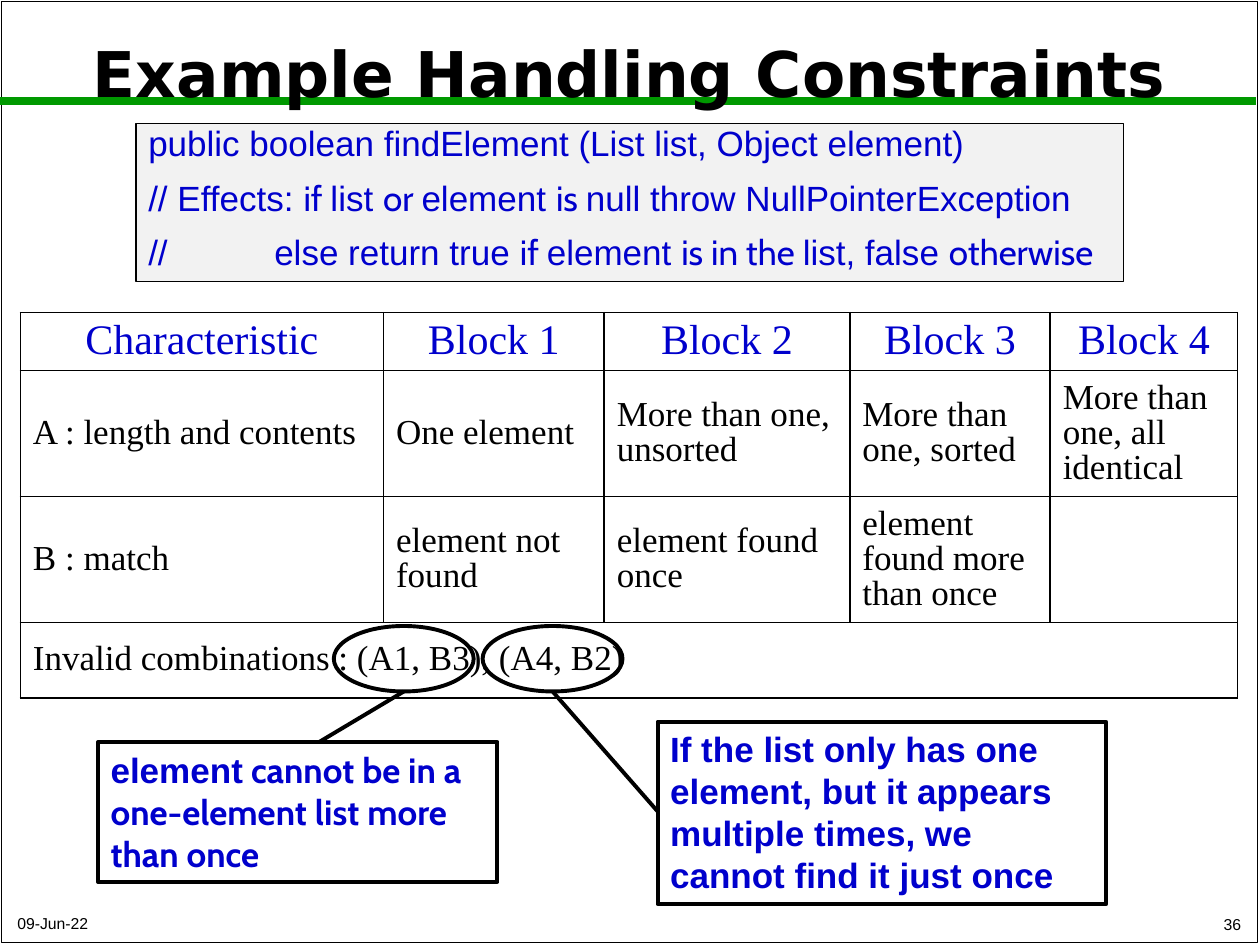
import pptx
import pptx.dml.color
import pptx.enum.shapes
import pptx.enum.text
import pptx.oxml
import pptx.oxml.ns
import pptx.util
from lxml import etree

Cm, Pt = pptx.util.Cm, pptx.util.Pt
ALIGN = pptx.enum.text.PP_ALIGN
ANCHOR = pptx.enum.text.MSO_ANCHOR
SHAPE = pptx.enum.shapes.MSO_SHAPE

BLACK, BLUE, GREEN, GREY = "000000", "0000CC", "009900", "F2F2F2"
SANS, CASUAL, SERIF, HEADING = "Arial", "Cabin", "Times New Roman", "DejaVu Sans"

# Content: a paragraph is a list of (text, font) runs
TITLE = "Example Handling Constraints"
DATE, PAGE = "09-Jun-22", "36"
SIGNATURE = [
    [("public boolean findElement (List list, Object element)", SANS)],
    [("// Effects: ", SANS), ("if ", CASUAL), ("list ", SANS), ("or ", CASUAL),
     ("element ", SANS), ("is ", CASUAL), ("null throw NullPointerException", SANS)],
    [("//\telse return true ", SANS), ("if ", CASUAL), ("element ", SANS),
     ("is in the ", CASUAL), ("list, false ", SANS), ("otherwise", CASUAL)],
]
PARTITION = [
    ["Characteristic", "Block 1", "Block 2", "Block 3", "Block 4"],
    ["A : length and contents", "One element", "More than one, unsorted",
     "More than one, sorted", "More than one, all identical"],
    ["B : match", "element not found", "element found once",
     "element found more than once", ""],
    ["Invalid combinations : (A1, B3), (A4, B2)", "", "", "", ""],
]
COLUMN_WIDTHS = [7.32, 4.45, 4.95, 4.04, 3.78]
ROW_HEIGHTS = [1.17, 2.54, 2.54, 1.52]
# Each callout: ring left edge, box, point where the leader meets the box, runs
CALLOUTS = [
    (6.73, (1.98, 14.96, 8.05, 2.82), (6.43, 14.96),
     [("element", SANS), (" cannot be in a one-element list more than once", CASUAL)]),
    (9.73, (13.26, 14.55, 9.04, 3.68), (13.26, 16.36),
     [("If the list only has one element, but it appears multiple times, "
       "we cannot find it just once", SANS)]),
]
RING_TOP, RING_WIDTH, RING_HEIGHT = 12.62, 2.82, 1.32


def rgb(color):
    return pptx.dml.color.RGBColor.from_string(color)


def write(frame, paragraphs, size=20, color=BLUE, bold=False, align=ALIGN.LEFT,
          anchor=ANCHOR.TOP, line_spacing=None, before=None, tab=None):
    frame.word_wrap = True
    frame.vertical_anchor = anchor
    for index, runs in enumerate(paragraphs):
        paragraph = frame.paragraphs[0] if index == 0 else frame.add_paragraph()
        paragraph.alignment = align
        paragraph.line_spacing = line_spacing
        paragraph.space_before = None if before is None else Pt(before)
        if tab:
            stops = etree.SubElement(paragraph._p.get_or_add_pPr(), pptx.oxml.ns.qn("a:tabLst"))
            etree.SubElement(stops, pptx.oxml.ns.qn("a:tab"), pos=str(Cm(tab)), algn="l")
        for text, face in runs:
            run = paragraph.add_run()
            run.text = text
            run.font.name, run.font.size, run.font.bold = face, Pt(size), bold
            run.font.color.rgb = rgb(color)


def add_outline(shapes, kind, box, width, fill=None):
    shape = shapes.add_shape(kind, *map(Cm, box))
    shape.shadow.inherit = False
    if fill:
        shape.fill.solid()
        shape.fill.fore_color.rgb = rgb(fill)
    else:
        shape.fill.background()
    shape.line.color.rgb = rgb(BLACK)
    shape.line.width = Pt(width)
    return shape


def add_line(shapes, start, end, color, width):
    line = shapes.add_connector(pptx.enum.shapes.MSO_CONNECTOR.STRAIGHT,
                                *map(Cm, start + end))
    line.line.color.rgb = rgb(color)
    line.line.width = Pt(width)
    etree.SubElement(line.element.spPr, pptx.oxml.ns.qn("a:effectLst"))
    return line


def add_borders(cell):
    properties = cell._tc.get_or_add_tcPr()
    for side in ("lnL", "lnR", "lnT", "lnB"):
        properties.append(pptx.oxml.parse_xml(
            f'<a:{side} {pptx.oxml.ns.nsdecls("a")} w="{Pt(1)}"><a:solidFill>'
            f'<a:srgbClr val="{BLACK}"/></a:solidFill></a:{side}>'))


def main():
    deck = pptx.Presentation()
    deck.slide_width, deck.slide_height = Cm(25.4), Cm(19.05)
    slide = deck.slides.add_slide(deck.slide_layouts[5])
    shapes = slide.shapes

    # Title, in front of the page frame and the green rule
    title = shapes.title
    title.left, title.top, title.width, title.height = map(Cm, (0.23, 0.28, 24.92, 2.54))
    write(title.text_frame, [[(TITLE, HEADING)]], size=36, color=BLACK, bold=True,
          align=ALIGN.CENTER, anchor=ANCHOR.MIDDLE, line_spacing=0.9)
    title.text_frame.auto_size = pptx.enum.text.MSO_AUTO_SIZE.NONE
    page_frame = add_outline(shapes, SHAPE.RECTANGLE, (0.03, 0.03, 25.32, 18.97), 1)
    rule = add_line(shapes, (0, 2.03), (25.32, 2.03), GREEN, 4.5)
    for backdrop in (page_frame, rule):
        title.element.addprevious(backdrop.element)

    # Method signature
    signature = add_outline(shapes, SHAPE.RECTANGLE, (2.74, 2.49, 19.91, 3.18), 0.75, GREY)
    write(signature.text_frame, SIGNATURE, line_spacing=0.8, before=12, tab=2.54)

    # Date and page number
    for text, box, align in ((DATE, (0.1, 18.24, 10.67, 0.69), ALIGN.LEFT),
                             (PAGE, (19.99, 18.21, 5.28, 0.74), ALIGN.RIGHT)):
        footer = shapes.add_textbox(*map(Cm, box))
        write(footer.text_frame, [[(text, SANS)]], size=9, color=BLACK,
              align=align, anchor=ANCHOR.BOTTOM)

    # Table of characteristics and blocks
    table = shapes.add_table(len(ROW_HEIGHTS), len(COLUMN_WIDTHS), Cm(0.41), Cm(6.3),
                             Cm(sum(COLUMN_WIDTHS)), Cm(sum(ROW_HEIGHTS))).table
    table.first_row = table.horz_banding = False
    for column, width in zip(table.columns, COLUMN_WIDTHS):
        column.width = Cm(width)
    for row_index, (row, height) in enumerate(zip(PARTITION, ROW_HEIGHTS)):
        table.rows[row_index].height = Cm(height)
        header = row_index == 0
        for column_index, text in enumerate(row):
            cell = table.cell(row_index, column_index)
            add_borders(cell)
            cell.fill.background()
            cell.vertical_anchor = ANCHOR.MIDDLE
            if text:
                write(cell.text_frame, [[(text, SERIF)]], size=24 if header else 20,
                      color=BLUE if header else BLACK, anchor=None,
                      align=ALIGN.CENTER if header else ALIGN.LEFT, line_spacing=0.9)
    last_row = len(PARTITION) - 1
    table.cell(last_row, 0).merge(table.cell(last_row, len(COLUMN_WIDTHS) - 1))

    # Callouts: ring, leader line and explanation
    for ring_left, box, leader_end, runs in CALLOUTS:
        callout = shapes.add_group_shape().shapes
        add_outline(callout, SHAPE.OVAL, (ring_left, RING_TOP, RING_WIDTH, RING_HEIGHT), 2.25)
        leader_start = (ring_left + RING_WIDTH / 2, RING_TOP + RING_HEIGHT)
        add_line(callout, leader_start, leader_end, BLACK, 2.25)
        explanation = add_outline(callout, SHAPE.RECTANGLE, box, 2.25)
        write(explanation.text_frame, [runs], bold=True)

    deck.save("out.pptx")


if __name__ == "__main__":
    main()
